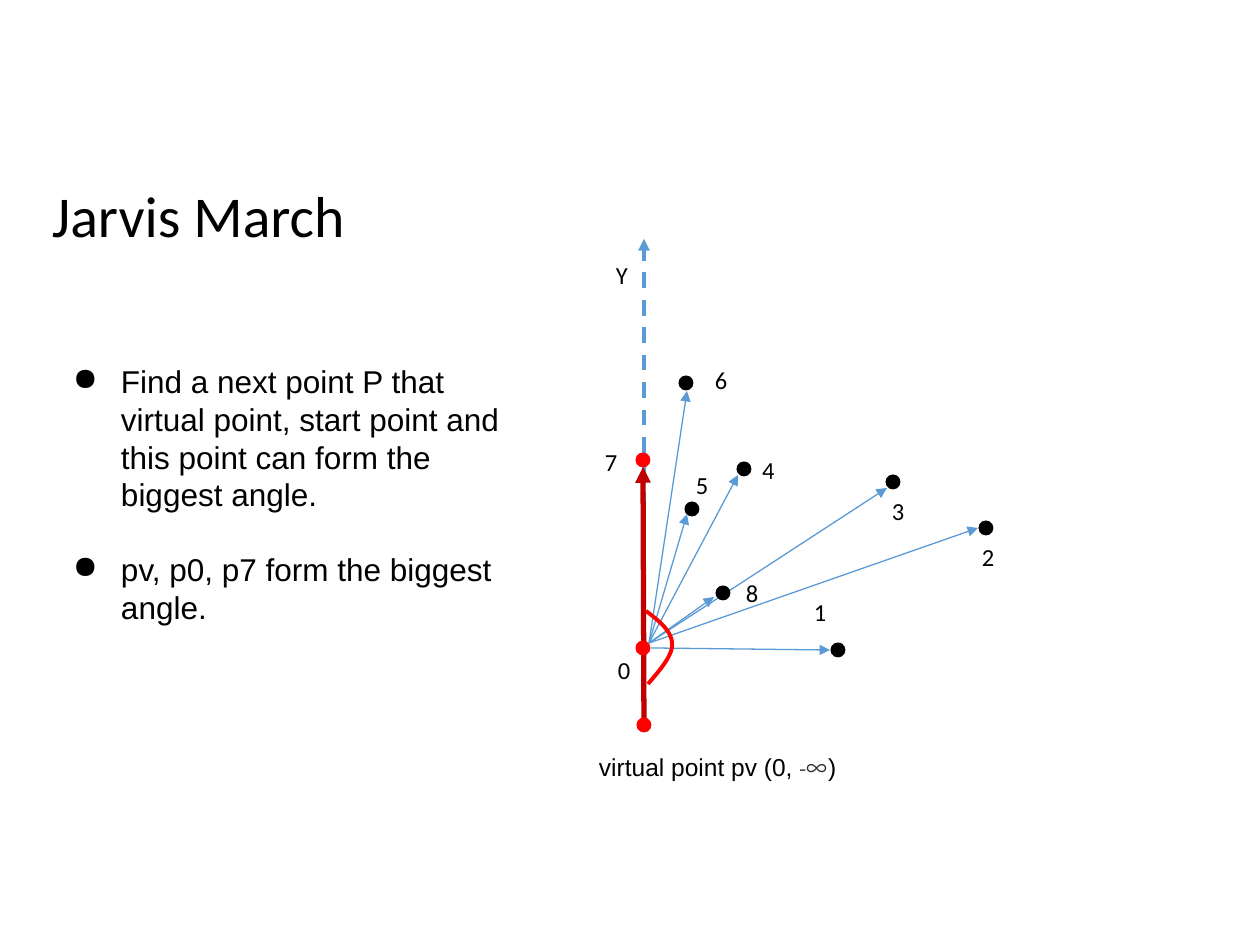
"""Build a slide on one step of the Jarvis march."""
from lxml import etree
from pptx import Presentation
from pptx.dml.color import RGBColor
from pptx.enum.dml import MSO_LINE
from pptx.enum.shapes import MSO_CONNECTOR, MSO_SHAPE
from pptx.enum.text import MSO_ANCHOR
from pptx.oxml.ns import qn
from pptx.util import Pt

DASH, SOLID = MSO_LINE.DASH, MSO_LINE.SOLID
STRAIGHT, OVAL = MSO_CONNECTOR.STRAIGHT, MSO_SHAPE.OVAL
TOP, MIDDLE = MSO_ANCHOR.TOP, MSO_ANCHOR.MIDDLE
BLACK = RGBColor(0, 0, 0)
GREY = RGBColor(0x33, 0x33, 0x33)
RED = RGBColor(0xFF, 0, 0)
CRIMSON = RGBColor(0xC0, 0, 0)
BLUE = RGBColor(0x5B, 0x9B, 0xD5)
SCALE = 914400 / 126

TITLE = ("Jarvis March", (43, 179, 1174, 79))
BULLETS = [
    "Find a next point P that virtual point, start point and this point can form the biggest angle.",
    "pv, p0, p7 form the biggest angle.",
]
BODY = (49, 357, 485, 348)
NOTE = [("virtual point pv (0, ", "Arial", 14, BLACK),
        ("-∞", "Noto Sans CJK SC", 12, GREY),
        (")", "Arial", 14, BLACK)]
NOTE_BOX = (590, 747, 324, 38)
START = (649, 643)
LINES = [
    ((644, 727), (644, 239), BLUE, 2.25, DASH),
    ((644, 730), (643, 467), CRIMSON, 3, SOLID),
    ((651, 648), (830, 650), BLUE, 0.75, SOLID),
]
TIPS = [(714, 597), (687, 514), (978, 528), (687, 391), (887, 488), (738, 475)]
ARC = [
    ((646, 611), (659, 621), (672, 631), (672, 644)),
    ((672, 644), (673, 655), (660, 670), (648, 684)),
]
DOTS = {
    RED: [(643, 648), (643, 460), (644, 725)],
    BLACK: [(838, 650), (986, 528), (893, 482), (744, 469),
            (692, 509), (686, 383), (723, 593)],
}
SIZE = 15
LABELS = {
    "0": (609, 650), "1": (805, 592), "2": (973, 537), "3": (883, 491),
    "4": (753, 450), "5": (687, 465), "6": (706, 360), "7": (596, 442),
    "8": (737, 573), "Y": (607, 255),
}


def px(*nums):
    return [round(num * SCALE) for num in nums]


def style(item, **values):
    for name, value in values.items():
        setattr(item, name, value)


def add_text(slide, box, paras, inset=5, anchor=TOP):
    frame = slide.shapes.add_textbox(*px(*box)).text_frame
    side, edge = px(9, inset)
    style(frame, word_wrap=True, vertical_anchor=anchor, margin_left=side,
          margin_right=side, margin_top=edge, margin_bottom=edge)
    for i, runs in enumerate(paras):
        para = frame.add_paragraph() if i else frame.paragraphs[0]
        for text, face, size, color in runs:
            run = para.add_run()
            run.text = text
            style(run.font, name=face, size=Pt(size))
            run.font.color.rgb = color
            if not text.isascii():
                etree.SubElement(run.font._element, qn("a:ea"), typeface=face)
    return frame.paragraphs


def add_arrow(slide, start, end, color, width, dash):
    link = slide.shapes.add_connector(STRAIGHT, *px(*start, *end))
    style(link.line, width=Pt(width), dash_style=dash)
    link.line.color.rgb = color
    etree.SubElement(link.line._get_or_add_ln(), qn("a:tailEnd"), type="triangle")
    etree.SubElement(link._element.spPr, qn("a:effectLst"))


def curve(a, b, c, d, steps=16):
    for i in range(steps + 1):
        t = i / steps
        u = 1 - t
        yield px(*(u**3 * p + 3 * u * u * t * q + 3 * u * t * t * r + t**3 * s
                   for p, q, r, s in zip(a, b, c, d)))


def add_arc(slide):
    first, *rest = [spot for part in ARC for spot in curve(*part)]
    pen = slide.shapes.build_freeform(*first)
    pen.add_line_segments(rest, close=False)
    arc = pen.convert_to_shape()
    arc.shadow.inherit = False
    arc.fill.background()
    arc.line.width = Pt(2.25)
    arc.line.color.rgb = RED


def add_dot(slide, x, y, color):
    dot = slide.shapes.add_shape(OVAL, *px(x - SIZE / 2, y - SIZE / 2, SIZE, SIZE))
    dot.shadow.inherit = False
    dot.fill.solid()
    dot.fill.fore_color.rgb = color
    dot.line.fill.background()


def add_bullets(slide):
    paras = add_text(slide, BODY, [[(text, "Arial", 18, BLACK)] for text in BULLETS])
    left, hang = px(63, -48)
    for i, para in enumerate(paras):
        para.space_before = Pt(21 * i)
        props = para._p.get_or_add_pPr()
        props.set("marL", str(left))
        props.set("indent", str(hang))
        tint = etree.SubElement(props, qn("a:buClr"))
        etree.SubElement(tint, qn("a:srgbClr"), val=str(BLACK))
        etree.SubElement(props, qn("a:buChar"), char="●")


def main():
    deck = Presentation()
    deck.slide_width, deck.slide_height = px(1260, 945)
    slide = deck.slides.add_slide(deck.slide_layouts[6])
    for line in LINES + [(START, tip, BLUE, 0.75, SOLID) for tip in TIPS]:
        add_arrow(slide, *line)
    add_arc(slide)
    for color, spots in DOTS.items():
        for spot in spots:
            add_dot(slide, *spot, color)
    for text, spot in LABELS.items():
        add_text(slide, (*spot, 32, 38), [[(text, "Calibri", 14, BLACK)]])
    add_text(slide, NOTE_BOX, [NOTE])
    add_bullets(slide)
    text, box = TITLE
    head = add_text(slide, box, [[(text, "Calibri", 33, BLACK)]], 9, MIDDLE)
    head[0].line_spacing = 0.9
    deck.save("out.pptx")


if __name__ == "__main__":
    main()
